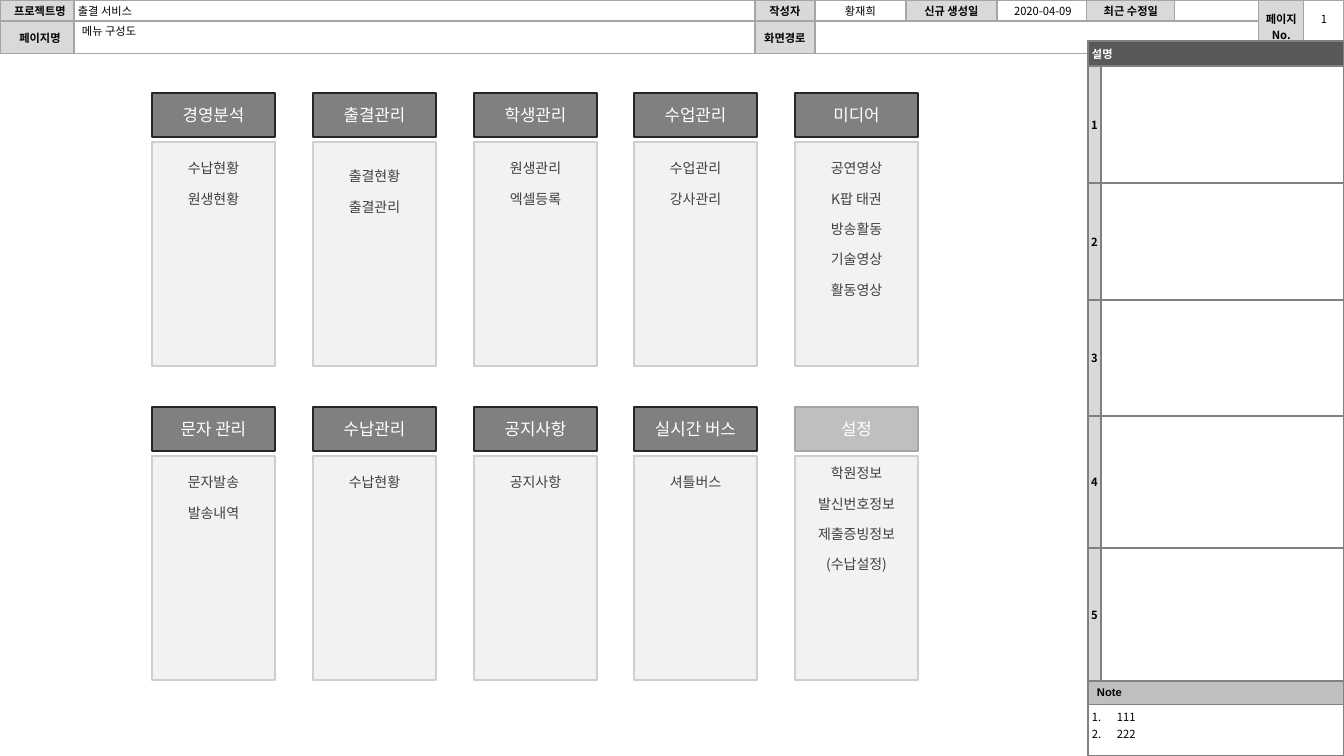
from pptx import Presentation
from pptx.dml.color import RGBColor
from pptx.enum.shapes import MSO_SHAPE
from pptx.enum.text import MSO_ANCHOR, MSO_AUTO_SIZE, PP_ALIGN
from pptx.oxml.xmlchemy import OxmlElement
from pptx.util import Pt

PX = 914400 / 100.8
FONT = "Noto Sans CJK KR"
COLORS = {
    "black": "000000", "white": "FFFFFF", "label": "D9D9D9", "grid": "A5A5A5",
    "panel_grid": "808080", "panel_head": "595959", "note": "BFBFBF",
    "head": "808080", "head_line": "262626", "muted": "BFBFBF", "muted_line": "A6A6A6",
    "card": "F2F2F2", "card_line": "D0CECE", "item": "404040",
}
MENUS = [
    [("경영분석", ["수납현황", "원생현황"]),
     ("출결관리", ["출결현황", "출결관리"]),
     ("학생관리", ["원생관리", "엑셀등록"]),
     ("수업관리", ["수업관리", "강사관리"]),
     ("미디어", ["공연영상", "K팝 태권", "방송활동", "기술영상", "활동영상"])],
    [("문자 관리", ["문자발송", "발송내역"]),
     ("수납관리", ["수납현황"]),
     ("공지사항", ["공지사항"]),
     ("실시간 버스", ["셔틀버스"]),
     ("설정", ["학원정보", "발신번호정보", "제출증빙정보", "(수납설정)"])],
]
MENU_TOPS = [93, 407]
ITEM_INSETS = {"출결관리": 26, "설정": 9}
HEADER_COLS = [74, 681, 60, 91, 91, 90, 88, 84, 45, 40]
HEADER_ROWS = [21, 32]
HEADER_TEXT = [
    ["프로젝트명", "출결 서비스", "작성자", "황재희", "신규 생성일", "", "최근 수정일", "", "페이지 No.", ""],
    ["페이지명", "", "화면경로"] + [""] * 7,
]
PANEL_COLS = [13, 243]
PANEL_ROWS = [25, 117, 117, 116, 132, 133, 24, 51]


def emu(px):
    """Turn pixels into EMU."""
    return round(px * PX)


def rgb(name):
    """Look up a named colour."""
    return RGBColor.from_string(COLORS[name])


def write(tf, text, size, color="black", bold=False, align=PP_ALIGN.CENTER, font=FONT, gap=0):
    """Fill a text frame with one paragraph per line and format its runs."""
    tf.text = text
    for p in tf.paragraphs:
        p.alignment = align
        p.space_before = Pt(0)
        p.space_after = Pt(gap)
        p.line_spacing = 1.0
        if not p.runs:
            p._p.get_or_add_endParaRPr().set("sz", str(size * 100))
        for r in p.runs:
            r.font.size = Pt(size)
            r.font.bold = bold
            r.font.color.rgb = rgb(color)
            r.font.name = font
            ea = OxmlElement("a:ea")
            ea.set("typeface", font)
            r._r.get_or_add_rPr().append(ea)


def set_insets(target, left=0, top=0, right=0, bottom=0):
    """Set the margins of a text frame or a table cell."""
    target.margin_left, target.margin_top = emu(left), emu(top)
    target.margin_right, target.margin_bottom = emu(right), emu(bottom)


def set_label(sp, box, text, align=PP_ALIGN.CENTER):
    """Place a small one-line label without insets."""
    sp.left, sp.top, sp.width, sp.height = map(emu, box)
    tf = sp.text_frame
    tf.word_wrap = True
    tf.auto_size = MSO_AUTO_SIZE.NONE
    tf.vertical_anchor = MSO_ANCHOR.MIDDLE
    set_insets(tf)
    write(tf, text, 8, align=align)


def add_box(s, box, text, size, fill, line, color, top=0, anchor=MSO_ANCHOR.MIDDLE, gap=0):
    """Add a filled, outlined rectangle with centred text."""
    sp = s.shapes.add_shape(MSO_SHAPE.RECTANGLE, *map(emu, box))
    sp.shadow.inherit = False
    sp.fill.solid()
    sp.fill.fore_color.rgb = rgb(fill)
    sp.line.color.rgb = rgb(line)
    sp.line.width = Pt(1)
    tf = sp.text_frame
    tf.word_wrap = True
    tf.vertical_anchor = anchor
    set_insets(tf, top=top)
    write(tf, text, size, color, gap=gap)


def add_grid(s, left, top, cols, rows):
    """Add an unstyled table with the given column and row sizes."""
    frame = s.shapes.add_table(len(rows), len(cols), emu(left), emu(top),
                               emu(sum(cols)), emu(sum(rows)))
    table = frame.table
    table.first_row = table.horz_banding = False
    for col, width in zip(table.columns, cols):
        col.width = emu(width)
    for row, height in zip(table.rows, rows):
        row.height = emu(height)
    return table


def style_cell(cell, fill, line):
    """Give a cell its borders, fill and middle anchor."""
    tc_pr = cell._tc.get_or_add_tcPr()
    for side in ("lnL", "lnR", "lnT", "lnB"):
        ln = OxmlElement(f"a:{side}")
        ln.set("w", str(Pt(1)))
        solid, clr = OxmlElement("a:solidFill"), OxmlElement("a:srgbClr")
        clr.set("val", COLORS[line])
        solid.append(clr)
        ln.append(solid)
        tc_pr.append(ln)
    cell.fill.solid()
    cell.fill.fore_color.rgb = rgb(fill)
    cell.vertical_anchor = MSO_ANCHOR.MIDDLE
    set_insets(cell)


def number_paragraphs(tf):
    """Number the paragraphs with a hanging indent."""
    for p in tf.paragraphs:
        p_pr = p._p.get_or_add_pPr()
        p_pr.set("marL", str(emu(25)))
        p_pr.set("indent", str(-emu(25)))
        bullet = OxmlElement("a:buAutoNum")
        bullet.set("type", "arabicPeriod")
        p_pr.append(bullet)


def add_header(s):
    """Add the project information table."""
    table = add_grid(s, 0, 0, HEADER_COLS, HEADER_ROWS)
    for i, texts in enumerate(HEADER_TEXT):
        for j, text in enumerate(texts):
            cell = table.cell(i, j)
            is_label = j % 2 == 0 and (i == 0 or j < 4 or j == 8)
            style_cell(cell, "label" if is_label else "white", "grid")
            align = PP_ALIGN.LEFT if j == 1 else PP_ALIGN.CENTER
            write(cell.text_frame, text, 8, bold=is_label, align=align)
            set_insets(cell, left={0: 6, 1: 4}.get(j, 0))
    table.cell(1, 3).merge(table.cell(1, 7))
    for j in (8, 9):
        table.cell(0, j).merge(table.cell(1, j))


def add_panel(s):
    """Add the description and note table."""
    table = add_grid(s, 1088, 41, PANEL_COLS, PANEL_ROWS)
    wide = {0: ("설명", "panel_head", "white", True, FONT, 4),
            6: ("Note", "note", "black", True, "Arial", 9),
            7: ("111\n222", "white", "black", False, FONT, 4)}
    for i in range(len(PANEL_ROWS)):
        first, second = table.cell(i, 0), table.cell(i, 1)
        if i in wide:
            text, fill, color, bold, font, left = wide[i]
            style_cell(first, fill, "panel_grid")
            style_cell(second, fill, "panel_grid")
            first.merge(second)
            set_insets(first, left, 4, 4, 4)
            write(first.text_frame, text, 8, color, bold, PP_ALIGN.LEFT, font)
        else:
            style_cell(first, "label", "panel_grid")
            style_cell(second, "white", "panel_grid")
            write(first.text_frame, str(i), 8, bold=True)
        write(second.text_frame, "", 8)
    notes = table.cell(7, 0)
    notes.vertical_anchor = MSO_ANCHOR.TOP
    number_paragraphs(notes.text_frame)


def add_menu(s, left, top, name, items):
    """Add a menu heading with its list of pages below."""
    kind = "muted" if name == "설정" else "head"
    add_box(s, (left, top, 123, 44), name, 12, kind, f"{kind}_line", "white")
    add_box(s, (left, top + 49, 123, 224), "\n".join(items), 10, "card", "card_line", "item",
            ITEM_INSETS.get(name, 18), MSO_ANCHOR.TOP, 9.6)


def main():
    """Build the menu structure slide."""
    prs = Presentation()
    prs.slide_width, prs.slide_height = emu(1344), emu(756)
    s = prs.slides.add_slide(prs.slide_layouts[5])
    add_header(s)
    title = s.shapes.title
    s.shapes._spTree.append(title._element)
    set_label(title, (82, 19, 666, 24), "메뉴 구성도", PP_ALIGN.LEFT)
    for box, text in (((1008, 0, 70, 22), "2020-04-09"), ((1305, 5, 38, 28), "1")):
        set_label(s.shapes.add_textbox(0, 0, 0, 0), box, text)
    add_panel(s)
    for top, menus in zip(MENU_TOPS, MENUS):
        for i, (name, items) in enumerate(menus):
            add_menu(s, 152 + round(160.75 * i), top, name, items)
    prs.save("out.pptx")


main()
